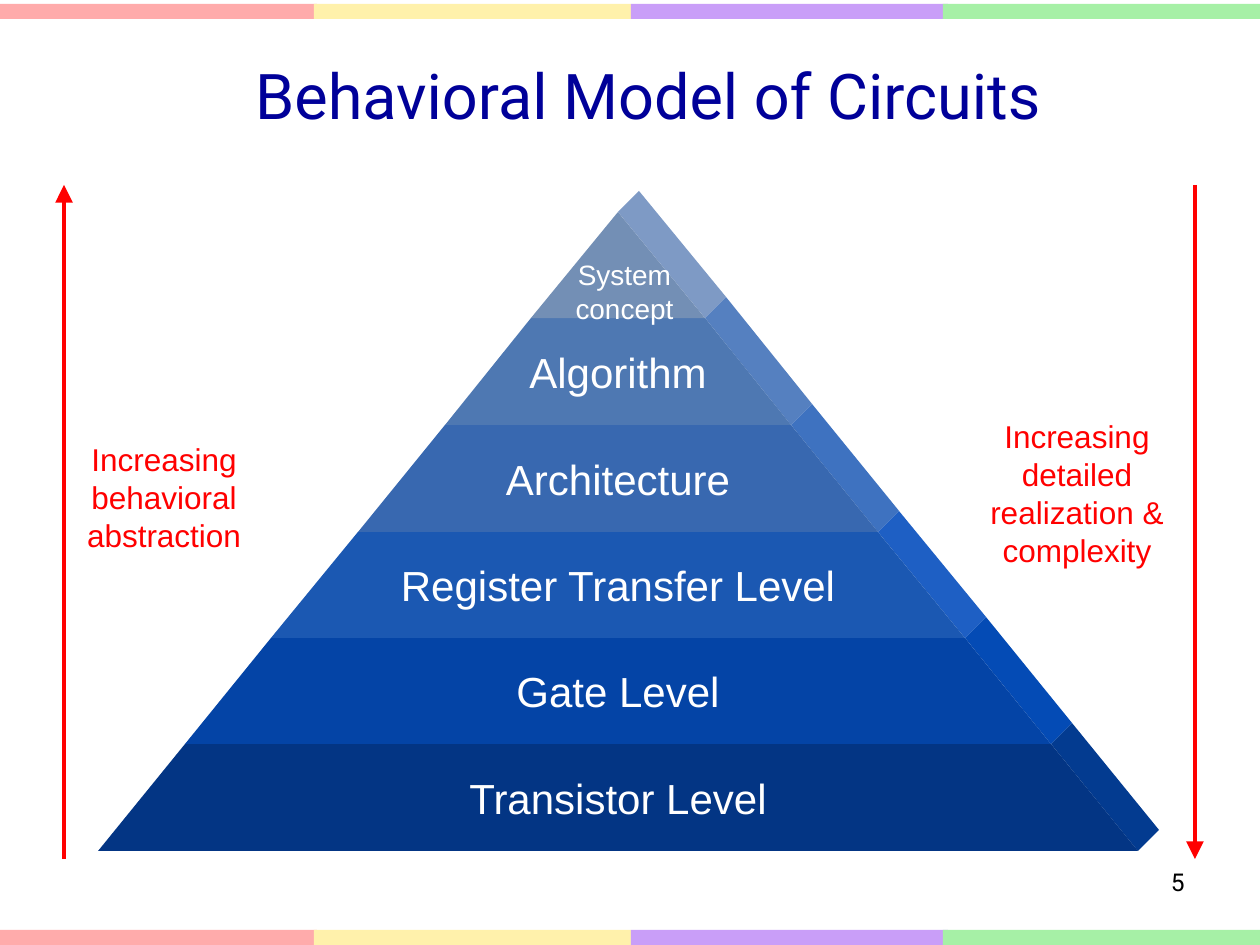
from lxml import etree
from pptx import Presentation
from pptx.dml.color import RGBColor
from pptx.enum.shapes import MSO_CONNECTOR, MSO_SHAPE
from pptx.enum.text import MSO_ANCHOR, PP_ALIGN
from pptx.oxml.ns import qn
from pptx.util import Inches, Pt

EMU_PER_PX = Inches(1) / 126
SLIDE_WIDTH, SLIDE_HEIGHT = 1260, 945
CENTER, RIGHT = PP_ALIGN.CENTER, PP_ALIGN.RIGHT
TOP, MIDDLE = MSO_ANCHOR.TOP, MSO_ANCHOR.MIDDLE
RECTANGLE, TRIANGLE = MSO_SHAPE.RECTANGLE, MSO_SHAPE.ISOSCELES_TRIANGLE
STRAIGHT = MSO_CONNECTOR.STRAIGHT

WHITE = RGBColor(0xFF, 0xFF, 0xFF)
BLACK = RGBColor(0x00, 0x00, 0x00)
RED = RGBColor(0xFF, 0x00, 0x00)
NAVY = RGBColor(0x00, 0x00, 0x99)

TITLE = "Behavioral Model of Circuits"
SLIDE_NUMBER = "5"

# left edge, colour
STRIPES = [
    (0, RGBColor(0xFF, 0xAB, 0xAB)),
    (314, RGBColor(0xFF, 0xF1, 0xAB)),
    (631, RGBColor(0xC9, 0x9E, 0xF8)),
    (943, RGBColor(0xA6, 0xF0, 0xA6)),
]
STRIPE_TOPS = [4, 930]
STRIPE_WIDTH, STRIPE_HEIGHT = 317, 15

# lines, text size, front colour, side colour; from the apex down
LEVELS = [
    (["System", "concept"], 16, RGBColor(0x73, 0x8F, 0xB5), RGBColor(0x7E, 0x9A, 0xC5)),
    (["Algorithm"], 24, RGBColor(0x4E, 0x78, 0xB2), RGBColor(0x55, 0x80, 0xC0)),
    (["Architecture"], 24, RGBColor(0x38, 0x68, 0xB0), RGBColor(0x3E, 0x72, 0xC0)),
    (["Register Transfer Level"], 24, RGBColor(0x1B, 0x58, 0xB2), RGBColor(0x1E, 0x5F, 0xC4)),
    (["Gate Level"], 24, RGBColor(0x04, 0x44, 0xA6), RGBColor(0x04, 0x4B, 0xB5)),
    (["Transistor Level"], 24, RGBColor(0x03, 0x35, 0x84), RGBColor(0x03, 0x3B, 0x90)),
]
APEX_X, APEX_Y = 618, 212
PYRAMID_HALF_WIDTH, PYRAMID_HEIGHT = 520, 639
DEPTH = 21
CONCEPT_SHIFT = 13

# left, top, width, height, lines
CAPTIONS = [
    (74, 434, 180, 127, ["Increasing", "behavioral", "abstraction"]),
    (977, 411, 200, 166, ["Increasing", "detailed", "realization &", "complexity"]),
]
# x, start y, end y; the head is at the end
ARROWS = [(1195, 185, 859), (64, 859, 185)]


def px(length):
    return round(length * EMU_PER_PX)


def box(left, top, width, height):
    return px(left), px(top), px(width), px(height)


def paint(shape, color):
    shape.shadow.inherit = False
    shape.fill.solid()
    shape.fill.fore_color.rgb = color
    shape.line.fill.background()


def write(shape, lines, size, color, font="Arial", align=CENTER, anchor=MIDDLE, wrap=False):
    frame = shape.text_frame
    frame.word_wrap = wrap
    frame.vertical_anchor = anchor
    for index, line in enumerate(lines):
        paragraph = frame.add_paragraph() if index else frame.paragraphs[0]
        paragraph.alignment = align
        run = paragraph.add_run()
        run.text = line
        run.font.name = font
        run.font.size = Pt(size)
        run.font.color.rgb = color


def add_polygon(shapes, points, color):
    builder = shapes.build_freeform(*points[0], scale=EMU_PER_PX)
    builder.add_line_segments(points[1:], close=True)
    shape = builder.convert_to_shape()
    paint(shape, color)
    return shape


def add_stripes(shapes):
    for top in STRIPE_TOPS:
        for left, color in STRIPES:
            stripe = shapes.add_shape(RECTANGLE, *box(left, top, STRIPE_WIDTH, STRIPE_HEIGHT))
            paint(stripe, color)


def add_pyramid(shapes):
    """Stack the levels from the base up, so that the apex label stays in front."""
    count = len(LEVELS)
    edges = [
        (round(PYRAMID_HALF_WIDTH * step / count), APEX_Y + round(PYRAMID_HEIGHT * step / count))
        for step in range(count + 1)
    ]
    for index in reversed(range(count)):
        lines, size, front_color, side_color = LEVELS[index]
        (upper_half, top), (lower_half, bottom) = edges[index], edges[index + 1]
        upper_right, lower_right = APEX_X + upper_half, APEX_X + lower_half
        upper_left, lower_left = APEX_X - upper_half, APEX_X - lower_half
        add_polygon(shapes, [
            (upper_right, top), (upper_right + DEPTH, top - DEPTH),
            (lower_right + DEPTH, bottom - DEPTH), (lower_right, bottom),
        ], side_color)
        if upper_half:
            front = add_polygon(shapes, [
                (lower_left, bottom), (upper_left, top), (upper_right, top), (lower_right, bottom),
            ], front_color)
        else:
            front = shapes.add_shape(TRIANGLE, *box(lower_left, top, 2 * lower_half, bottom - top))
            paint(front, front_color)
            front.text_frame.margin_left = px(CONCEPT_SHIFT)
            front.text_frame.margin_right = 0
        write(front, lines, size, WHITE)


def add_arrow(shapes, x, start, end):
    arrow = shapes.add_connector(STRAIGHT, px(x), px(start), px(x), px(end))
    arrow.line.color.rgb = RED
    arrow.line.width = Pt(2)
    etree.SubElement(arrow.line._get_or_add_ln(), qn("a:tailEnd"), type="triangle", w="lg", len="lg")
    etree.SubElement(arrow._element.spPr, qn("a:effectLst"))


def main():
    presentation = Presentation()
    presentation.slide_width = px(SLIDE_WIDTH)
    presentation.slide_height = px(SLIDE_HEIGHT)
    slide = presentation.slides.add_slide(presentation.slide_layouts[5])
    shapes = slide.shapes

    add_stripes(shapes)
    title = shapes.title
    title.left, title.top, title.width, title.height = box(163, 16, 970, 157)
    write(title, [TITLE], 36, NAVY, font="Roboto", wrap=True)

    number = shapes.add_textbox(*box(903, 861, 294, 66))
    write(number, [SLIDE_NUMBER], 14, BLACK, font="Roboto", align=RIGHT, anchor=TOP, wrap=True)

    add_pyramid(shapes)
    for *place, lines in CAPTIONS:
        write(shapes.add_textbox(*box(*place)), lines, 18, RED, anchor=TOP)
    for x, start, end in ARROWS:
        add_arrow(shapes, x, start, end)

    presentation.save("out.pptx")


if __name__ == "__main__":
    main()
